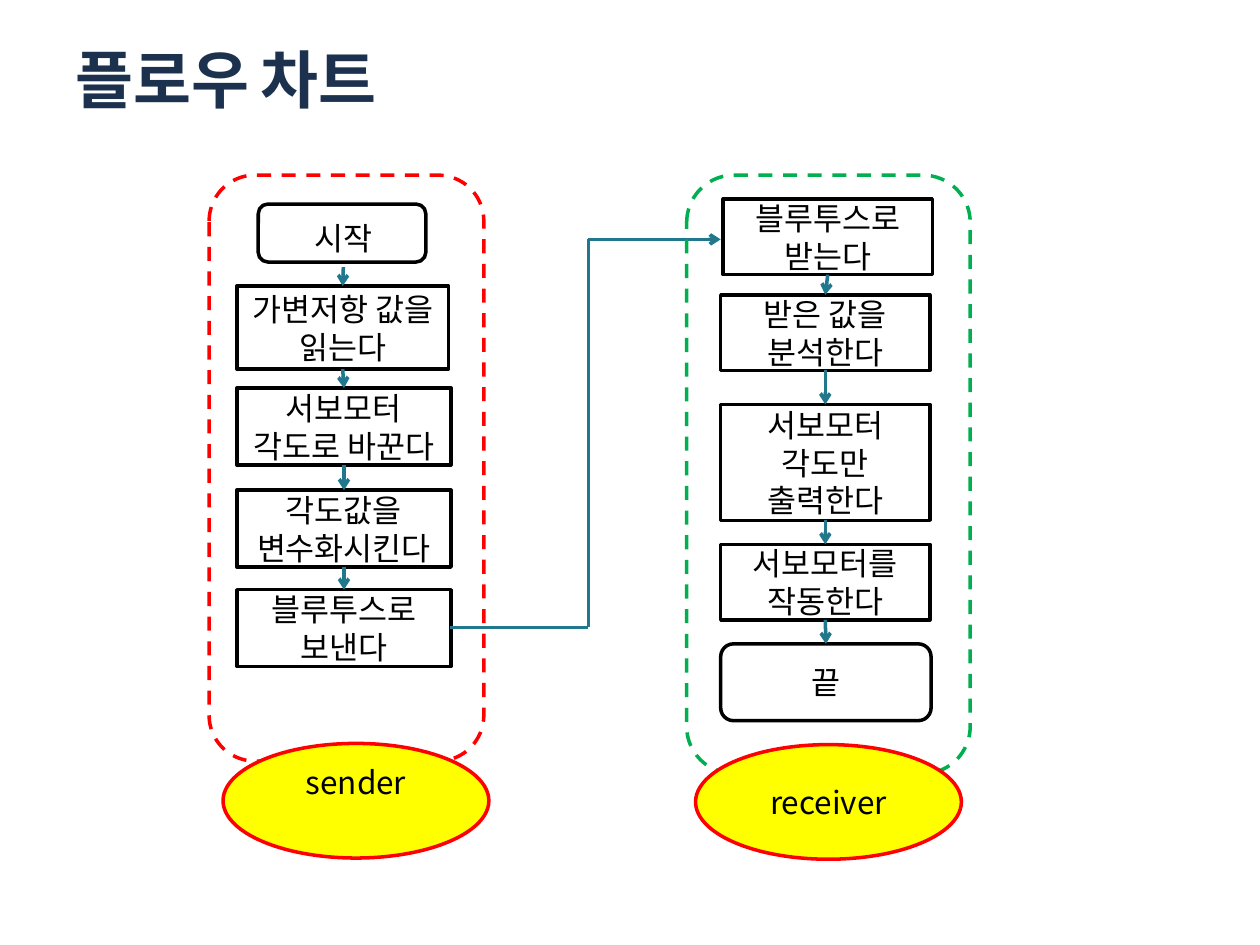
from lxml.etree import SubElement
from pptx import Presentation
from pptx.dml.color import RGBColor
from pptx.enum.dml import MSO_LINE
from pptx.enum.shapes import MSO_CONNECTOR, MSO_SHAPE
from pptx.enum.text import MSO_ANCHOR, PP_ALIGN
from pptx.oxml.ns import qn
from pptx.util import Inches, Pt


def color(value):
    """Turn a hex string into a colour."""
    return RGBColor.from_string(value)


class FlowSlide:
    """Draws flow chart elements on one slide in a shared style."""

    FONT = "Noto Sans CJK KR"
    INK, NAVY, TEAL = "000000", "1C314E", "21788D"
    RED, GREEN, YELLOW = "FF0000", "00B050", "FFFF00"

    def __init__(self, slide):
        """Keep the current slide."""
        self.shapes = slide.shapes

    def fill_text(self, frame, runs, ink=INK, bold=False, align=PP_ALIGN.CENTER):
        """Fill a text frame with (text, size) runs."""
        frame.vertical_anchor = MSO_ANCHOR.MIDDLE
        paragraph = frame.paragraphs[0]
        paragraph.alignment = align
        for text, size in runs:
            run = paragraph.add_run()
            run.text = text
            run.font.name, run.font.size, run.font.bold = self.FONT, Pt(size), bold
            run.font.color.rgb = color(ink)
            SubElement(run._r.get_or_add_rPr(), qn("a:ea"), typeface=self.FONT)

    def text(self, area, runs, wrap=True, **style):
        """Add a text box."""
        frame = self.shapes.add_textbox(*map(Inches, area)).text_frame
        frame.word_wrap = wrap
        self.fill_text(frame, runs, **style)

    def box(self, kind, area, text="", fill=None, line=INK, dashed=False, lift=0):
        """Add an outlined shape, its text raised by lift inches."""
        shape = self.shapes.add_shape(kind, *map(Inches, area))
        shape.shadow.inherit = False
        if fill:
            shape.fill.solid()
            shape.fill.fore_color.rgb = color(fill)
        else:
            shape.fill.background()
        shape.line.color.rgb = color(line)
        shape.line.width = Pt(2)
        if dashed:
            shape.line.dash_style = MSO_LINE.DASH
        if text:
            shape.text_frame.word_wrap = True
            shape.text_frame.margin_bottom = Inches(0.05 + 2 * lift)
            self.fill_text(shape.text_frame, [(text, 18)])

    def line(self, start, end, arrow=True):
        """Add a straight connector, with an arrowhead at its end if asked."""
        connector = self.shapes.add_connector(
            MSO_CONNECTOR.STRAIGHT, *map(Inches, (*start, *end)))
        connector.line.color.rgb = color(self.TEAL)
        connector.line.width = Pt(2)
        properties = connector._element.spPr
        if arrow:
            SubElement(properties.find(qn("a:ln")), qn("a:tailEnd"), type="arrow")
        SubElement(properties, qn("a:effectLst"))

    def arrows(self, areas):
        """Join each area's bottom centre to the next area's top centre."""
        for (x, y, w, h), (next_x, next_y, next_w, _) in zip(areas, areas[1:]):
            self.line((x + w / 2, y + h), (next_x + next_w / 2, next_y))


presentation = Presentation()
presentation.slide_width, presentation.slide_height = Inches(10), Inches(7.5)
flow = FlowSlide(presentation.slides.add_slide(presentation.slide_layouts[6]))
RECT, ROUND, OVAL = MSO_SHAPE.RECTANGLE, MSO_SHAPE.ROUNDED_RECTANGLE, MSO_SHAPE.OVAL

flow.text((0.5, 0, 9, 1.25), [("플로우", 36), ("\u00a0", 28), ("차트", 36)],
          ink=flow.NAVY, bold=True, align=PP_ALIGN.LEFT)

start_label = (2.38, 1.66, 0.69, 0.46)
flow.box(ROUND, (2.05, 1.62, 1.33, 0.46))
flow.text(start_label, [("시작", 18)], wrap=False)

sender_steps = [
    (RECT, (1.88, 2.27, 1.68, 0.66), "가변저항 값을 읽는다"),
    (RECT, (1.88, 3.08, 1.7, 0.61), "서보모터 각도로 바꾼다"),
    (RECT, (1.88, 3.89, 1.7, 0.61), "각도값을 변수화시킨다"),
    (RECT, (1.88, 4.68, 1.7, 0.61), "블루투스로 보낸다"),
]
receiver_steps = [
    (RECT, (5.74, 1.58, 1.66, 0.6), "블루투스로 받는다"),
    (RECT, (5.72, 2.34, 1.66, 0.6), "받은 값을 분석한다"),
    (RECT, (5.72, 3.21, 1.66, 0.92), "서보모터 각도만 출력한다"),
    (RECT, (5.72, 4.32, 1.66, 0.6), "서보모터를 작동한다"),
    (ROUND, (5.72, 5.11, 1.67, 0.61), "끝"),
]
for step in sender_steps + receiver_steps:
    flow.box(*step)
flow.arrows([start_label] + [area for _, area, _ in sender_steps])
flow.arrows([area for _, area, _ in receiver_steps])

bluetooth_route = [(3.57, 4.98), (4.67, 4.98), (4.67, 1.9), (5.72, 1.9)]
for start, end in zip(bluetooth_route, bluetooth_route[1:]):
    flow.line(start, end, arrow=end == bluetooth_route[-1])

devices = [
    ("sender", (1.66, 1.39, 2.18, 4.65), flow.RED, (1.77, 5.9, 2.11, 0.91), 0.15),
    ("receiver", (5.45, 1.39, 2.25, 4.75), flow.GREEN, (5.52, 5.91, 2.11, 0.91), 0),
]
for name, frame_area, frame_line, name_area, lift in devices:
    flow.box(ROUND, frame_area, line=frame_line, dashed=True)
    flow.box(OVAL, name_area, name, fill=flow.YELLOW, line=flow.RED, lift=lift)

presentation.save("out.pptx")
